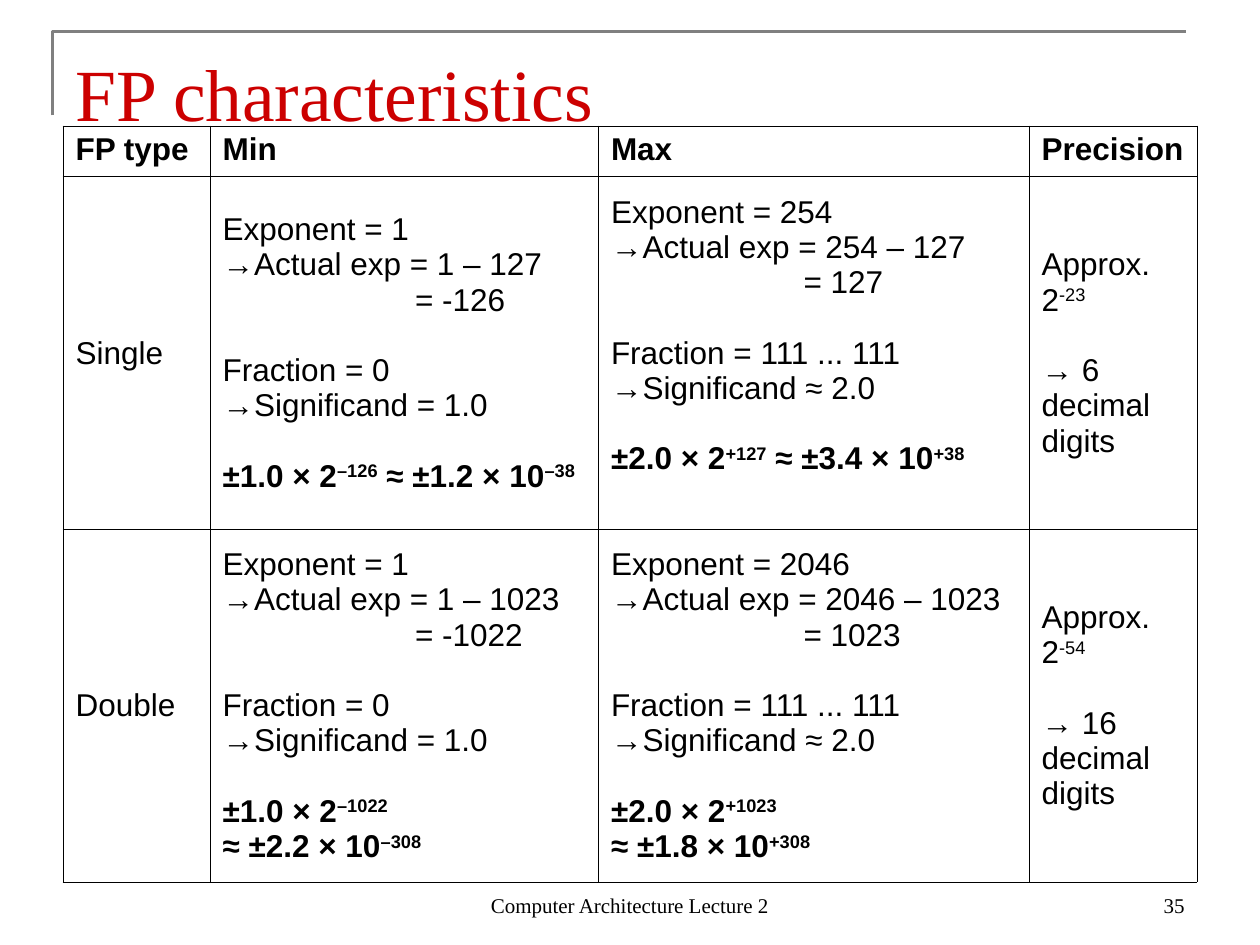
from lxml import etree
from pptx import Presentation
from pptx import util as u
from pptx.dml import color
from pptx.enum import text
from pptx.oxml import ns

Pt = u.Pt
SANS, SERIF = "Arial", "Times New Roman"
LINE = 20.1


def paint(code):
    return color.RGBColor.from_string(code)


def add_run(para, words, size, face, code="000000", bold=False, sup=False):
    run = para.add_run()
    run.text = words
    font = run.font
    font.size, font.name, font.bold = Pt(size), face, bold
    font.color.rgb = paint(code)
    if sup:
        run._r.get_or_add_rPr().set("baseline", "30000")


def add_rule(slide, x, y, w, h):
    pen = slide.shapes.build_freeform(Pt(x), Pt(y + h), scale=1.0)
    pen.add_line_segments([(Pt(x), Pt(y)), (Pt(x + w), Pt(y))], close=False)
    rule = pen.convert_to_shape()
    rule.shadow.inherit = False
    rule.fill.background()
    rule.line.color.rgb = paint("808080")
    rule.line.width = Pt(1.5)


def add_title(slide, x, y, w, h, words):
    title = slide.shapes.title
    title.left, title.top, title.width, title.height = map(Pt, (x, y, w, h))
    frame = title.text_frame
    frame.auto_size = text.MSO_AUTO_SIZE.NONE
    frame.vertical_anchor = text.MSO_ANCHOR.BOTTOM
    frame.margin_bottom = 0
    para = frame.paragraphs[0]
    para.alignment = text.PP_ALIGN.LEFT
    add_run(para, words, 42, SERIF, "CC0000")


def add_note(slide, x, y, w, h, words, align):
    frame = slide.shapes.add_textbox(Pt(x), Pt(y), Pt(w), Pt(h)).text_frame
    frame.word_wrap = True
    frame.vertical_anchor = text.MSO_ANCHOR.BOTTOM
    para = frame.paragraphs[0]
    para.alignment = align
    add_run(para, words, 12, SERIF)


def indent(para, left, first=0, mark=None):
    props = para._p.get_or_add_pPr()
    props.set("marL", str(Pt(left)))
    props.set("indent", str(Pt(first)))
    if mark:
        etree.SubElement(props, ns.qn("a:buFont")).set("typeface", SANS)
        etree.SubElement(props, ns.qn("a:buChar")).set("char", mark)


def edge_cell(cell):
    props = cell._tc.get_or_add_tcPr()
    for i, side in enumerate(("lnL", "lnR", "lnT", "lnB")):
        edge = etree.Element(ns.qn("a:" + side), w=str(Pt(0.45)))
        fill = etree.SubElement(edge, ns.qn("a:solidFill"))
        etree.SubElement(fill, ns.qn("a:srgbClr"), val="000000")
        props.insert(i, edge)


def fill_cell(cell, lines):
    cell.fill.solid()
    cell.fill.fore_color.rgb = paint("FFFFFF")
    edge_cell(cell)
    frame = cell.text_frame
    for i, (kind, words) in enumerate(lines):
        para = frame.paragraphs[0] if i == 0 else frame.add_paragraph()
        if "arrow" in kind:
            indent(para, 18, -18, "→")
        if "equal" in kind:
            indent(para, 110)
        if "gap" in kind:
            para.space_before = Pt(LINE)
        for j, part in enumerate(words.split("^")):
            if part:
                add_run(para, part, 18, SANS, bold="bold" in kind, sup=j % 2 == 1)


def limit(top, calc, exp, frac, sig, *value):
    lines = [("", f"Exponent = {top}"), ("arrow", f"Actual exp = {calc}"),
             ("equal", f"= {exp}"), ("gap", f"Fraction = {frac}"),
             ("arrow", f"Significand {sig}")]
    kinds = ["gap bold"] + ["bold"] * (len(value) - 1)
    return lines + list(zip(kinds, value))


def detail(power, count):
    return [("", "Approx."), ("", f"2^{power}"),
            ("gap", f"→ {count} decimal digits")]


def add_grid(slide, x, y, w, h):
    ones = "111 ... 111"
    rows = [
        [[("bold", name)] for name in ("FP type", "Min", "Max", "Precision")],
        [[("", "Single")],
         limit(1, "1 – 127", "-126", 0, "= 1.0",
               "±1.0 × 2^–126^ ≈ ±1.2 × 10^–38"),
         limit(254, "254 – 127", "127", ones, "≈ 2.0",
               "±2.0 × 2^+127^ ≈ ±3.4 × 10^+38"),
         detail("-23", 6)],
        [[("", "Double")],
         limit(1, "1 – 1023", "-1022", 0, "= 1.0",
               "±1.0 × 2^–1022", "≈ ±2.2 × 10^–308"),
         limit(2046, "2046 – 1023", "1023", ones, "≈ 2.0",
               "±2.0 × 2^+1023", "≈ ±1.8 × 10^+308"),
         detail("-54", 16)],
    ]
    grid = slide.shapes.add_table(3, 4, Pt(x), Pt(y), Pt(w), Pt(h)).table
    grid.first_row = grid.horz_banding = False
    for col, wide in zip(grid.columns, (84, 222, 246, 96)):
        col.width = Pt(wide)
    head = 29
    for row, tall in zip(grid.rows, (head, (h - head) / 2, (h - head) / 2)):
        row.height = Pt(tall)
    for r, row in enumerate(rows):
        for c, lines in enumerate(row):
            cell = grid.cell(r, c)
            fill_cell(cell, lines)
            if r:
                cell.vertical_anchor = text.MSO_ANCHOR.MIDDLE
    grid.cell(1, 2).margin_bottom = Pt(3.6 + LINE)


def main():
    deck = Presentation()
    deck.slide_width, deck.slide_height = Pt(720), Pt(540)
    slide = deck.slides.add_slide(deck.slide_layouts[5])
    add_rule(slide, 30, 18, 648, 48)
    add_title(slide, 36, 21.6, 648, 56.4, "FP characteristics")
    add_note(slide, 246, 492, 228, 36, "Computer Architecture Lecture 2",
             text.PP_ALIGN.CENTER)
    add_note(slide, 516, 492, 168, 36, "35", text.PP_ALIGN.RIGHT)
    add_grid(slide, 36, 72, 648, 432)
    deck.save("out.pptx")


if __name__ == "__main__":
    main()
